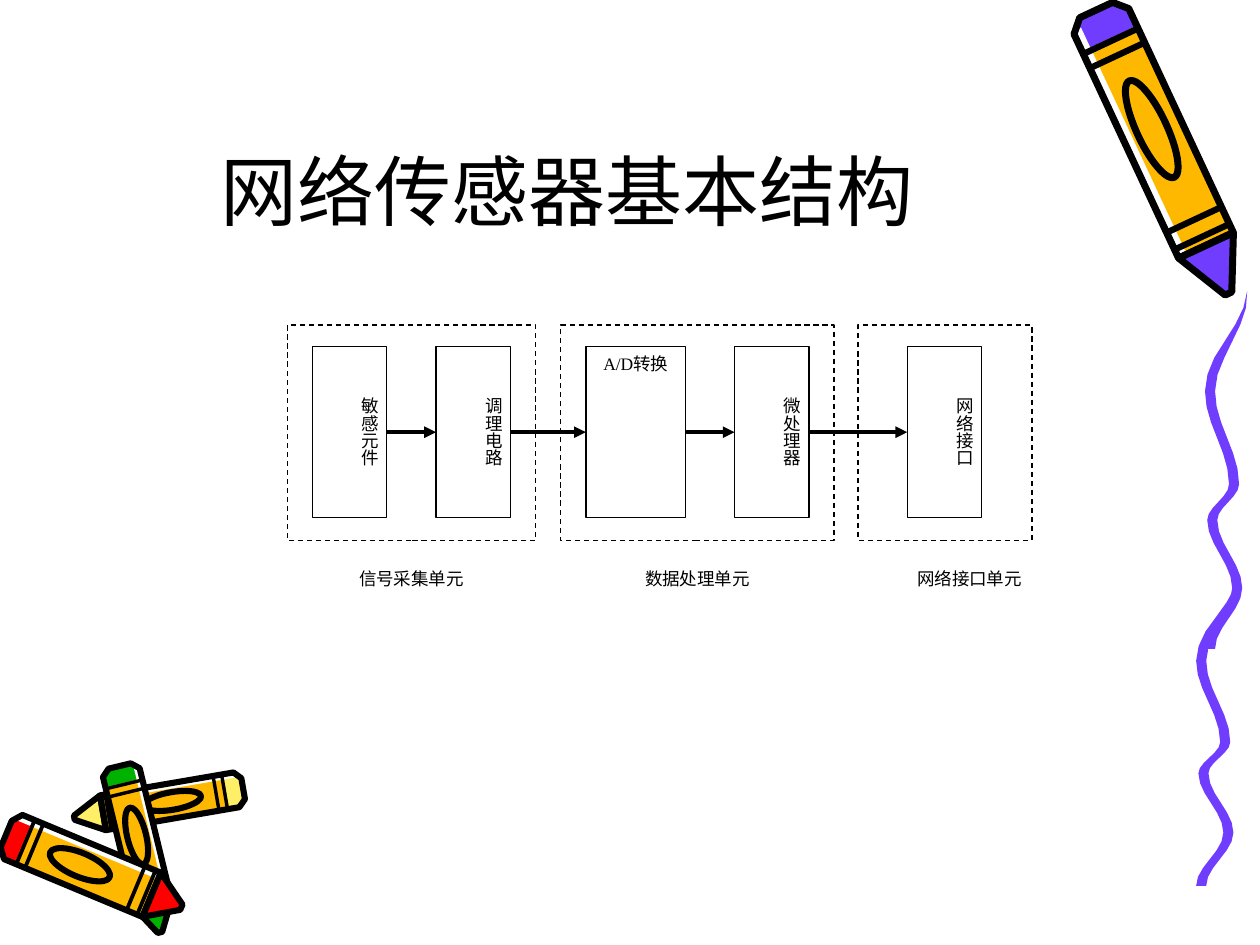
import math

from lxml import etree
from pptx import Presentation
from pptx.dml.color import RGBColor
from pptx.enum.dml import MSO_LINE
from pptx.enum.shapes import MSO_CONNECTOR, MSO_SHAPE
from pptx.enum.text import MSO_ANCHOR, MSO_AUTO_SIZE, PP_ALIGN
from pptx.oxml.ns import qn
from pptx.util import Inches, Pt

STRAIGHT, RECTANGLE, OVAL = MSO_CONNECTOR.STRAIGHT, MSO_SHAPE.RECTANGLE, MSO_SHAPE.OVAL
DASH, CENTER = MSO_LINE.DASH, PP_ALIGN.CENTER
TOP, BOTTOM, NO_AUTOFIT = MSO_ANCHOR.TOP, MSO_ANCHOR.BOTTOM, MSO_AUTO_SIZE.NONE
RIGHT_SIDE, LEFT_SIDE = 3, 1

BLACK = RGBColor(0x00, 0x00, 0x00)
WHITE = RGBColor(0xFF, 0xFF, 0xFF)
PURPLE = RGBColor(0x70, 0x3D, 0xFF)
ORANGE = RGBColor(0xFF, 0xB8, 0x00)
YELLOW = RGBColor(0xFF, 0xEF, 0x66)
RED = RGBColor(0xFF, 0x00, 0x00)
GREEN = RGBColor(0x00, 0xB2, 0x00)

TITLE_FONT, LABEL_FONT = "Comic Neue", "Times New Roman"

# Fractions of a crayon's length, from its butt to its tip.
CAP_END, OVAL_MIDDLE, OVAL_LENGTH, TAPER_START = 0.1, 0.42, 0.34, 0.83
BAND_STARTS = (0.1, 0.15, 0.73, 0.79)
BAND_LENGTH = 0.02

# Turning points of a squiggle, as fractions of its box; the path eases between them.
SQUIGGLE_TURNS = [(0.94, 0), (0.12, 0.28), (0.65, 0.54), (0.17, 0.64), (0.72, 0.83), (0.12, 1)]
STEPS_PER_TURN = 6

# Offsets and widths in inches from the left of the diagram.
UNITS = [  # caption, left, frame width, caption width
    ("信号采集单元", 0, 1.97, 1.97),
    ("数据处理单元", 2.17, 2.17, 2.17),
    ("网络接口单元", 4.53, 1.38, 1.77),
]
BLOCKS = [  # label, left, width, vertical text
    ("敏感元件", 0.2, 0.59, True),
    ("调理电路", 1.18, 0.59, True),
    ("A/D转换", 2.37, 0.79, False),
    ("微处理器", 3.55, 0.59, True),
    ("网络接口", 4.92, 0.59, True),
]


def style_shape(shape, fill=None, line=None, line_width=0.75):
    """Give the shape a plain fill and line; None leaves either out."""
    shape.shadow.inherit = False
    if fill is None:
        shape.fill.background()
    else:
        shape.fill.solid()
        shape.fill.fore_color.rgb = fill
    if line is None:
        shape.line.fill.background()
    else:
        shape.line.color.rgb = line
        shape.line.width = Pt(line_width)


def draw_polygon(shapes, points, fill, line=None, line_width=0.75):
    """Draw a closed outline through points given in inches."""
    corners = [(Inches(x), Inches(y)) for x, y in points]
    builder = shapes.build_freeform(*corners[0], scale=1.0)
    builder.add_line_segments(corners[1:], close=True)
    style_shape(builder.convert_to_shape(), fill, line, line_width)


def draw_crayon(slide, butt, tip, half_width, color, line_width, highlight_side):
    """Draw a crayon along the axis from butt to tip, all in inches."""
    shapes = slide.shapes.add_group_shape().shapes
    run, rise = tip[0] - butt[0], tip[1] - butt[1]
    length, angle = math.hypot(run, rise), math.atan2(rise, run)

    def place(along, across):
        """Turn a fraction of the length and of the half width into a point."""
        return (butt[0] + along * run - across * half_width * math.sin(angle),
                butt[1] + along * rise + across * half_width * math.cos(angle))

    def stripe(start, end, low=-1, high=1):
        return [place(start, low), place(end, low), place(end, high), place(start, high)]

    butt_end = [place(0.04, 1), place(0, 0.6), place(0, -0.6), place(0.04, -1)]
    body = butt_end + [place(TAPER_START, -1), place(TAPER_START, 1)]
    nib = [place(TAPER_START, -1), place(1, -0.12), place(1, 0.12), place(TAPER_START, 1)]
    cap = butt_end + [place(CAP_END, -1), place(CAP_END, 1)]
    highlight = stripe(0.03, TAPER_START, 0.7 * highlight_side, highlight_side)

    draw_polygon(shapes, body, ORANGE)
    draw_polygon(shapes, cap, color)
    draw_polygon(shapes, highlight, WHITE)
    for start in BAND_STARTS:
        draw_polygon(shapes, stripe(start, start + BAND_LENGTH), BLACK)
    draw_polygon(shapes, nib, color, BLACK, line_width)
    draw_polygon(shapes, body, None, BLACK, line_width)

    middle_x, middle_y = place(OVAL_MIDDLE, 0)
    oval_length = OVAL_LENGTH * length
    oval = shapes.add_shape(OVAL, Inches(middle_x - oval_length / 2),
                            Inches(middle_y - half_width / 2),
                            Inches(oval_length), Inches(half_width))
    oval.rotation = math.degrees(angle)
    style_shape(oval, None, BLACK, line_width)


def draw_crayon_pile(slide, left, top):
    """Draw three crossed crayons, the red one in front."""
    crayons = [  # butt, tip, half width, color, highlighted side
        ((1.93, 0.26), (0.59, 0.49), 0.14, YELLOW, 1),
        ((0.95, 0.08), (1.27, 1.4), 0.15, GREEN, -1),
        ((0.05, 0.62), (1.44, 1.2), 0.19, RED, -1),
    ]
    for butt, tip, half_width, color, side in crayons:
        draw_crayon(slide, (left + butt[0], top + butt[1]), (left + tip[0], top + tip[1]),
                    half_width, color, 3.5, side)


def draw_squiggle(slide, left, top, width, height):
    """Draw a winding ribbon that widens from a point at its top."""
    path = []
    for (x1, y1), (x2, y2) in zip(SQUIGGLE_TURNS, SQUIGGLE_TURNS[1:]):
        for step in range(STEPS_PER_TURN):
            part = step / STEPS_PER_TURN
            ease = (1 - math.cos(math.pi * part)) / 2
            path.append((left + width * (x1 + (x2 - x1) * ease),
                         top + height * (y1 + (y2 - y1) * part)))
    last_x, last_y = SQUIGGLE_TURNS[-1]
    path.append((left + width * last_x, top + height * last_y))
    half_widths = [min(0.04, 0.01 * index) for index in range(len(path))]
    right_edge = [(x + half, y) for (x, y), half in zip(path, half_widths)]
    left_edge = [(x - half, y) for (x, y), half in zip(path, half_widths)]
    draw_polygon(slide.shapes, right_edge + left_edge[::-1], PURPLE)


def format_paragraph(paragraph, font_name, size):
    paragraph.alignment = CENTER
    font = paragraph.runs[0].font
    font.name, font.size, font.color.rgb = font_name, Pt(size), BLACK


def set_title(slide, left, top, width, height):
    title = slide.shapes.title
    title.left, title.top, title.width, title.height = left, top, width, height
    frame = title.text_frame
    frame.text = "网络传感器基本结构"
    frame.auto_size = NO_AUTOFIT
    frame.vertical_anchor = BOTTOM
    format_paragraph(frame.paragraphs[0], TITLE_FONT, 44)


def add_box(slide, left, top, width, height, line_color, label="", vertical=False):
    shape = slide.shapes.add_shape(RECTANGLE, left, top, width, height)
    style_shape(shape, WHITE, line_color)
    if label:
        frame = shape.text_frame
        frame.text = label
        frame.word_wrap = True
        frame.vertical_anchor = TOP
        if vertical:
            frame._txBody.bodyPr.set("vert", "eaVert")
            frame._txBody.bodyPr.set("anchorCtr", "1")
            frame.margin_left = frame.margin_right = Inches(0.05)
            frame.margin_top = frame.margin_bottom = Inches(0.1)
        format_paragraph(frame.paragraphs[0], LABEL_FONT, 10)
    return shape


def add_arrow(slide, source, target):
    arrow = slide.shapes.add_connector(STRAIGHT, 0, 0, 0, 0)
    arrow.begin_connect(source, RIGHT_SIDE)
    arrow.end_connect(target, LEFT_SIDE)
    arrow.line.color.rgb = BLACK
    arrow.line.width = Pt(2.25)
    etree.SubElement(arrow.line._get_or_add_ln(), qn("a:tailEnd"), type="triangle")
    etree.SubElement(arrow._element.spPr, qn("a:effectLst"))


def draw_diagram(slide, left, top):
    """Draw the framed units with captions, and the chain of blocks."""
    for caption, offset, frame_width, caption_width in UNITS:
        unit_left = left + Inches(offset)
        frame = add_box(slide, unit_left, top, Inches(frame_width), Inches(1.71), BLACK)
        frame.line.dash_style = DASH
        add_box(slide, unit_left, top + Inches(1.88), Inches(caption_width), Inches(0.51),
                WHITE, caption)
    blocks = [add_box(slide, left + Inches(offset), top + Inches(0.17), Inches(width),
                      Inches(1.36), BLACK, label, vertical)
              for label, offset, width, vertical in BLOCKS]
    for source, target in zip(blocks, blocks[1:]):
        add_arrow(slide, source, target)


def main():
    presentation = Presentation()
    presentation.slide_width, presentation.slide_height = Inches(10), Inches(7.5)
    slide = presentation.slides.add_slide(presentation.slide_layouts[5])
    draw_crayon(slide, (8.7, 0.08), (9.75, 2.33), 0.24, PURPLE, 4, 1)
    draw_crayon_pile(slide, 0, 6)
    draw_squiggle(slide, 9.49, 4.55, 0.36, 2.48)
    draw_squiggle(slide, 9.56, 2.31, 0.36, 2.84)
    set_title(slide, Inches(0.75), Inches(0.17), Inches(7.51), Inches(1.75))
    draw_diagram(slide, Inches(2.28), Inches(2.58))
    presentation.save("out.pptx")


if __name__ == "__main__":
    main()
